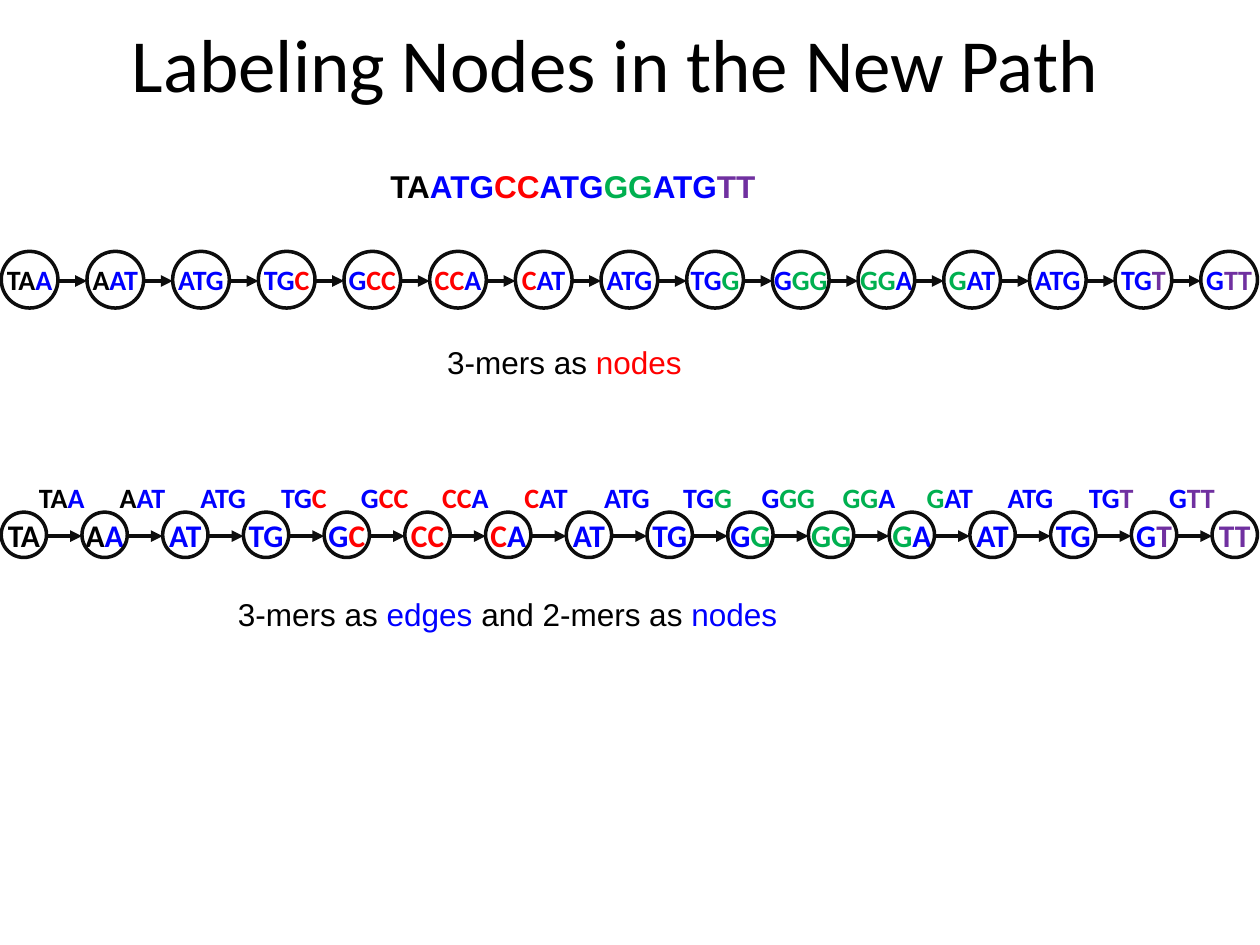
import itertools
from dataclasses import dataclass

import pptx
import pptx.dml.color
import pptx.enum.shapes
import pptx.enum.text
import pptx.oxml
import pptx.oxml.ns
import pptx.util

COLUMNS, ROWS = 100, 75
CELL = pptx.util.Inches(0.1)


@dataclass(frozen=True)
class Theme:
    black: str = "000000"
    blue: str = "0000FF"
    red: str = "FF0000"
    green: str = "00B050"
    purple: str = "7030A0"
    outline: str = "0D0D0D"
    heading_font: str = "Calibri"
    body_font: str = "Arial"
    title_size: float = 42.9
    body_size: float = 18
    three_mer_size: float = 16
    two_mer_size: float = 18
    circle_width: float = 2
    arrow_width: float = 2.25


THEME = Theme()
GENOME = [
    ("TA", THEME.black), ("ATG", THEME.blue), ("CC", THEME.red),
    ("ATG", THEME.blue), ("GG", THEME.green), ("ATG", THEME.blue),
    ("TT", THEME.purple),
]


def grid(*cells):
    return [round(cell * CELL) for cell in cells]


def rgb(value):
    return pptx.dml.color.RGBColor.from_string(value)


def kmers(length):
    bases = [(base, color) for piece, color in GENOME for base in piece]
    for start in range(len(bases) - length + 1):
        window = bases[start:start + length]
        yield [("".join(base for base, _ in run), color)
               for color, run in itertools.groupby(window, key=lambda item: item[1])]


def add_spans(para, spans, font, size, bold=False):
    for text, color in spans:
        span = para.add_run()
        span.text = text
        span.font.name = font
        span.font.size = pptx.util.Pt(size)
        span.font.bold = bold
        span.font.color.rgb = rgb(color)


def add_title(page, text):
    title = page.shapes.title
    title.left, title.top, title.width, title.height = grid(5.2, 0.8, 87.2, 8.3)
    frame = title.text_frame
    frame.auto_size = pptx.enum.text.MSO_AUTO_SIZE.NONE
    frame.vertical_anchor = pptx.enum.text.MSO_ANCHOR.MIDDLE
    para = frame.paragraphs[0]
    para.alignment = pptx.enum.text.PP_ALIGN.CENTER
    add_spans(para, [(text, THEME.black)], THEME.heading_font, THEME.title_size)


def add_line_of_text(page, left, top, width, spans, bold=False):
    box = page.shapes.add_textbox(*grid(left, top, width, 5))
    box.text_frame.word_wrap = True
    add_spans(box.text_frame.paragraphs[0], spans, THEME.body_font,
              THEME.body_size, bold)


def add_label(page, center, middle, spans, size):
    width, height = 6, 3.8
    box = page.shapes.add_textbox(
        *grid(center - width / 2, middle - height / 2, width, height))
    frame = box.text_frame
    frame.word_wrap = False
    frame.margin_left = frame.margin_right = 0
    frame.vertical_anchor = pptx.enum.text.MSO_ANCHOR.MIDDLE
    para = frame.paragraphs[0]
    para.alignment = pptx.enum.text.PP_ALIGN.CENTER
    add_spans(para, spans, THEME.heading_font, size, bold=True)


def add_circle(page, center, middle, diameter):
    circle = page.shapes.add_shape(
        pptx.enum.shapes.MSO_SHAPE.OVAL,
        *grid(center - diameter / 2, middle - diameter / 2, diameter, diameter))
    circle.shadow.inherit = False
    circle.fill.background()
    circle.line.color.rgb = rgb(THEME.outline)
    circle.line.width = pptx.util.Pt(THEME.circle_width)


def add_arrow(page, start, end, middle):
    arrow = page.shapes.add_connector(
        pptx.enum.shapes.MSO_CONNECTOR.STRAIGHT, *grid(start, middle, end, middle))
    arrow.line.color.rgb = rgb(THEME.outline)
    arrow.line.width = pptx.util.Pt(THEME.arrow_width)
    properties = arrow.element.spPr
    namespace = pptx.oxml.ns.nsdecls("a")
    properties.get_or_add_ln().append(
        pptx.oxml.parse_xml(f'<a:tailEnd {namespace} type="triangle"/>'))
    properties.append(pptx.oxml.parse_xml(f"<a:effectLst {namespace}/>"))


def add_path(page, nodes, middle, diameter, size):
    margin = 0.1 + diameter / 2
    pitch = (COLUMNS - 0.3 - diameter) / (len(nodes) - 1)
    centers = [margin + index * pitch for index in range(len(nodes))]
    for center, spans in zip(centers, nodes):
        add_label(page, center, middle, spans, size)
        add_circle(page, center, middle, diameter)
    for start, end in itertools.pairwise(centers):
        add_arrow(page, start + diameter / 2, end - diameter / 2, middle + 0.1)
    return centers


def main():
    deck = pptx.Presentation()
    deck.slide_width, deck.slide_height = grid(COLUMNS, ROWS)
    page = deck.slides.add_slide(deck.slide_layouts[5])
    add_title(page, "Labeling Nodes in the New Path")

    add_line_of_text(page, 30, 12.8, 42, GENOME, bold=True)
    three_mers = list(kmers(3))
    add_path(page, three_mers, 22.2, 4.5, THEME.three_mer_size)
    add_line_of_text(page, 34.5, 26.7, 28.5,
                     [("3-mers as ", THEME.black), ("nodes", THEME.red)])

    centers = add_path(page, list(kmers(2)), 42.45, 3.6, THEME.two_mer_size)
    for (start, end), spans in zip(itertools.pairwise(centers), three_mers):
        add_label(page, (start + end) / 2 - 0.2, 39.45, spans, THEME.three_mer_size)
    add_line_of_text(page, 17.9, 46.7, 65.7, [
        ("3-mers as ", THEME.black), ("edges ", THEME.blue),
        ("and 2-mers as ", THEME.black), ("nodes", THEME.blue)])

    deck.save("out.pptx")


if __name__ == "__main__":
    main()
